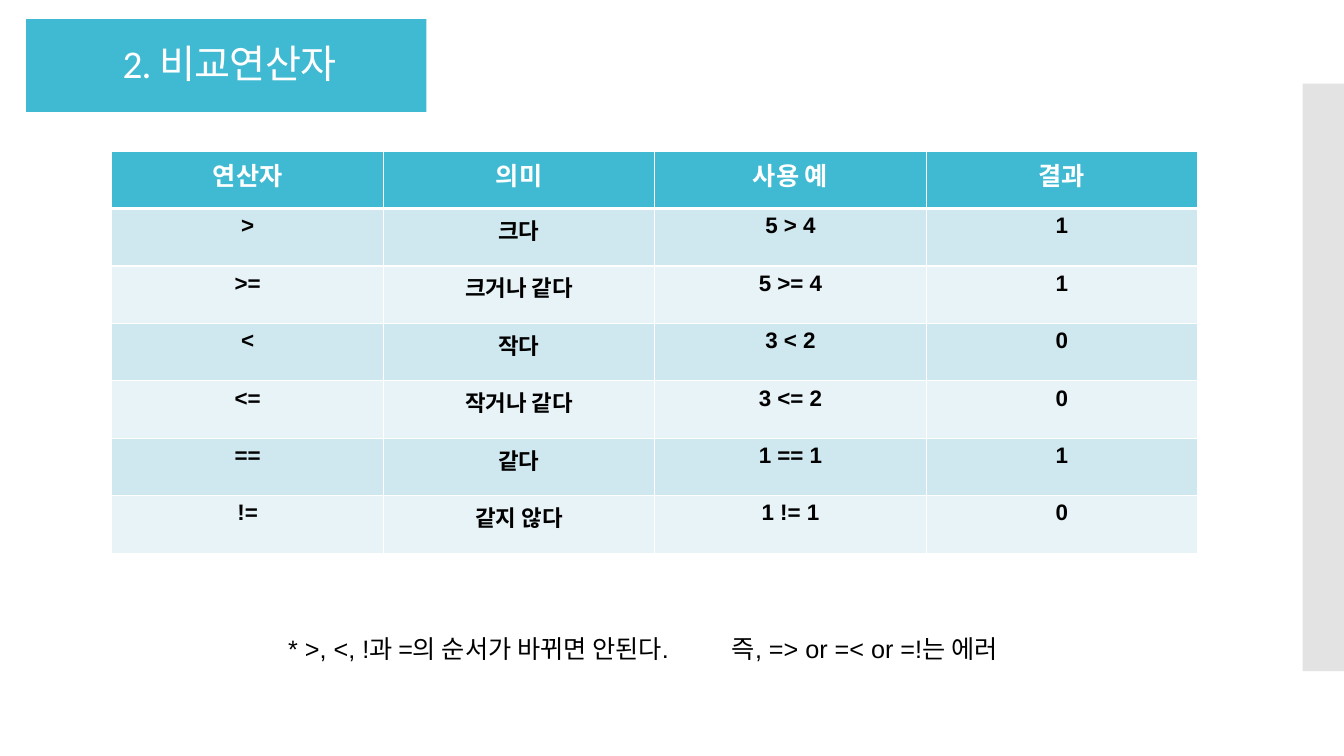
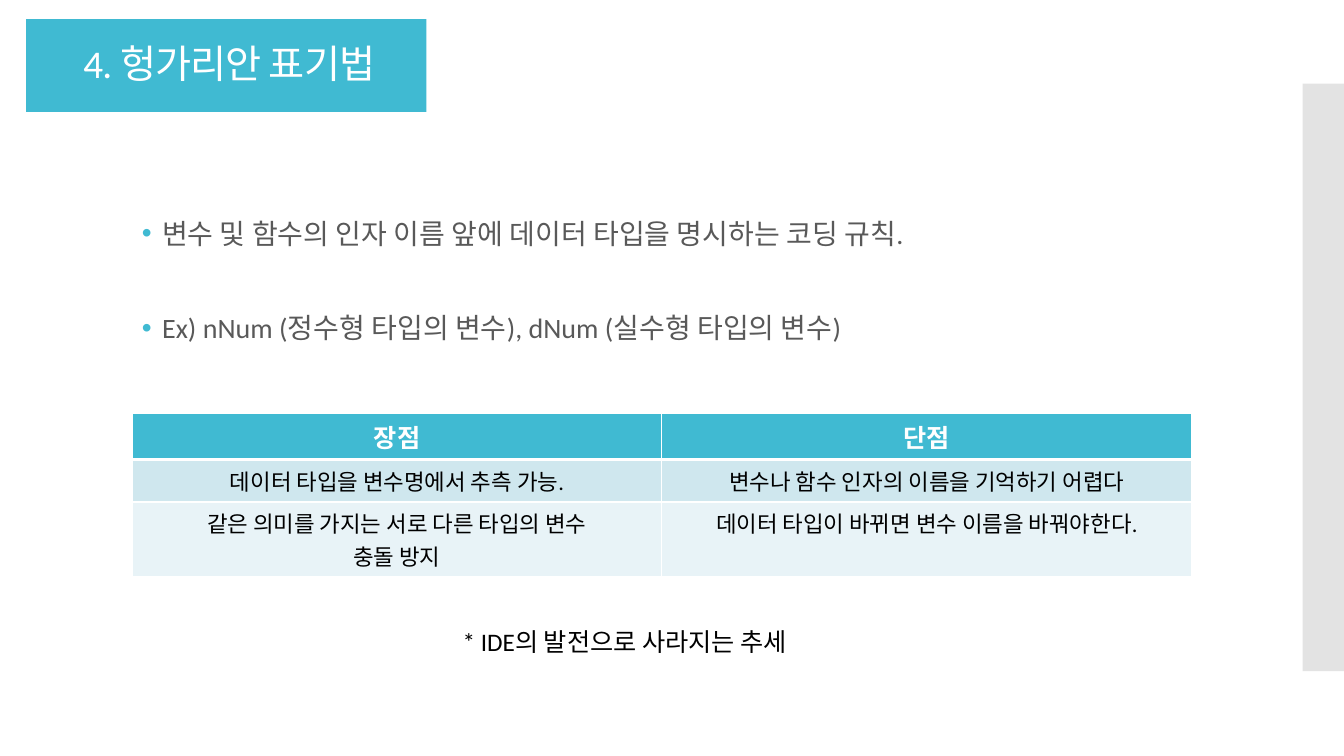
import pptx
import pptx.util
import pptx.dml.color
import pptx.enum.shapes
import pptx.enum.text
import pptx.oxml
import pptx.oxml.ns
import lxml.etree

Inches, Pt = pptx.util.Inches, pptx.util.Pt
ALIGN = pptx.enum.text.PP_ALIGN
MID = pptx.enum.text.MSO_ANCHOR.MIDDLE
qn = pptx.oxml.ns.qn

# Content
COLORS = {"band": "40BAD2", "side": "C8C8C8", "odd": "CFE7EE", "even": "E8F3F7",
          "white": "FFFFFF", "black": "000000", "gray": "595959"}
SLIDES = [
    {"title": "2. 비교연산자",
     "font": "Arial",
     "table": {"at": (1.11, 1.5), "width": 10.77, "highs": [0.57] * 7, "bold": True, "rows": [
         ("연산자", "의미", "사용 예", "결과"),
         (">", "크다", "5 > 4", "1"),
         (">=", "크거나 같다", "5 >= 4", "1"),
         ("<", "작다", "3 < 2", "0"),
         ("<=", "작거나 같다", "3 <= 2", "0"),
         ("==", "같다", "1 == 1", "1"),
         ("!=", "같지 않다", "1 != 1", "0")]},
     "note": "* >, <, !과 =의 순서가 바뀌면 안된다.\t즉, => or =< or =!는 에러",
     "note_at": (2.76, 6.23, 10.12, 0.4)},
    {"title": "4. 헝가리안 표기법",
     "font": "Calibri",
     "points": ["변수 및 함수의 인자 이름 앞에 데이터 타입을 명시하는 코딩 규칙.",
                "Ex) nNum (정수형 타입의 변수), dNum (실수형 타입의 변수)"],
     "table": {"at": (1.31, 4.1), "width": 10.51, "highs": [0.46, 0.42, 0.74],
               "bold": False, "rows": [
         ("장점", "단점"),
         ("데이터 타입을 변수명에서 추측 가능.", "변수나 함수 인자의 이름을 기억하기 어렵다"),
         ("같은 의미를 가지는 서로 다른 타입의 변수\n충돌 방지",
          "데이터 타입이 바뀌면 변수 이름을 바꿔야한다.")]},
     "note": "* IDE의 발전으로 사라지는 추세",
     "note_at": (4.49, 6.16, 3.96, 0.4)},
]


def rgb(name):
    return pptx.dml.color.RGBColor.from_string(COLORS[name])


def sub(parent, tag, **attrs):
    node = lxml.etree.SubElement(parent, qn(tag))
    for key, value in attrs.items():
        node.set(key, str(value))
    return node


# Text: each line of the string becomes a paragraph
def write(frame, text, font="Calibri", size=18, color="black", bold=False,
          align=None, line=None, before=None, track=None):
    for num, words in enumerate(text.split("\n")):
        para = frame.add_paragraph() if num else frame.paragraphs[0]
        para.alignment, para.line_spacing = align, line
        if before is not None:
            para.space_before = Pt(before)
        run = para.add_run()
        run.text = words
        run.font.name, run.font.size, run.font.bold = font, Pt(size), bold
        run.font.color.rgb = rgb(color)
        if track is not None:
            run.font._element.set("spc", str(track))
    return frame.paragraphs


def box(slide, at):
    frame = slide.shapes.add_textbox(*map(Inches, at)).text_frame
    frame.word_wrap = True
    return frame


def rect(slide, at, color, alpha=None):
    shape = slide.shapes.add_shape(pptx.enum.shapes.MSO_SHAPE.RECTANGLE, *map(Inches, at))
    shape.shadow.inherit = False
    shape.line.fill.background()
    shape.fill.solid()
    shape.fill.fore_color.rgb = rgb(color)
    if alpha:
        tint = shape._element.spPr.find(qn("a:solidFill"))[0]
        sub(tint, "a:alpha", val=alpha * 1000)


# Shared bands and title
def frame_up(slide, title):
    rect(slide, (0.26, 0.19, 3.97, 0.92), "band")
    rect(slide, (12.92, 0.83, 0.42, 5.83), "side", alpha=50)
    frame = box(slide, (0.54, 0.41, 3.47, 0.49))
    frame.vertical_anchor = MID
    write(frame, title, size=28, color="white", align=ALIGN.CENTER, line=0.9, track=-60)


# White cell borders; a thick rule lies under the header row
def border(cell, row):
    props = cell._tc.get_or_add_tcPr()
    widths = {"L": 1, "R": 1, "T": 3 if row == 1 else 1, "B": 3 if row == 0 else 1}
    for side, width in widths.items():
        edge = sub(props, "a:ln" + side, w=Pt(width))
        sub(sub(edge, "a:solidFill"), "a:srgbClr", val=COLORS["white"])


def grid(slide, font, at, width, highs, bold, rows):
    count = len(rows[0])
    table = slide.shapes.add_table(len(rows), count, *map(
        Inches, (*at, width, sum(highs)))).table
    for col in table.columns:
        col.width = Inches(width / count)
    for r, texts in enumerate(rows):
        table.rows[r].height = Inches(highs[r])
        head = r == 0
        fill = "band" if head else ("even", "odd")[r % 2]
        for c, text in enumerate(texts):
            cell = table.cell(r, c)
            border(cell, r)
            cell.fill.solid()
            cell.fill.fore_color.rgb = rgb(fill)
            write(cell.text_frame, text, font=font, size=18 if head else 16,
                  color="white" if head else "black", bold=head or bold,
                  align=ALIGN.CENTER)


def bullets(slide, points):
    frame = box(slide, (1.31, 1.84, 10.32, 1.92))
    frame.vertical_anchor = MID
    for para in write(frame, "\n".join(points), size=20, color="gray", line=0.9, before=46):
        props = para._p.get_or_add_pPr()
        props.set("marL", str(Inches(0.2)))
        props.set("indent", str(-Inches(0.2)))
        sub(sub(props, "a:buClr"), "a:srgbClr", val=COLORS["band"])
        sub(props, "a:buFont", typeface="Arial")
        sub(props, "a:buChar", char="•")
    frame.paragraphs[0].space_before = Pt(12)


def remark(slide, text, at, font):
    para = write(box(slide, at), text, font=font)[0]
    if "\t" in text:
        tabs = sub(para._p.get_or_add_pPr(), "a:tabLst")
        sub(tabs, "a:tab", pos=Inches(4.4), algn="l")


# Build
deck = pptx.Presentation()
deck.slide_width, deck.slide_height = Inches(13.33), Inches(7.5)
for page in SLIDES:
    slide = deck.slides.add_slide(deck.slide_layouts[6])
    frame_up(slide, page["title"])
    if "points" in page:
        bullets(slide, page["points"])
    grid(slide, page["font"], **page["table"])
    remark(slide, page["note"], page["note_at"], page["font"])
deck.save("out.pptx")
